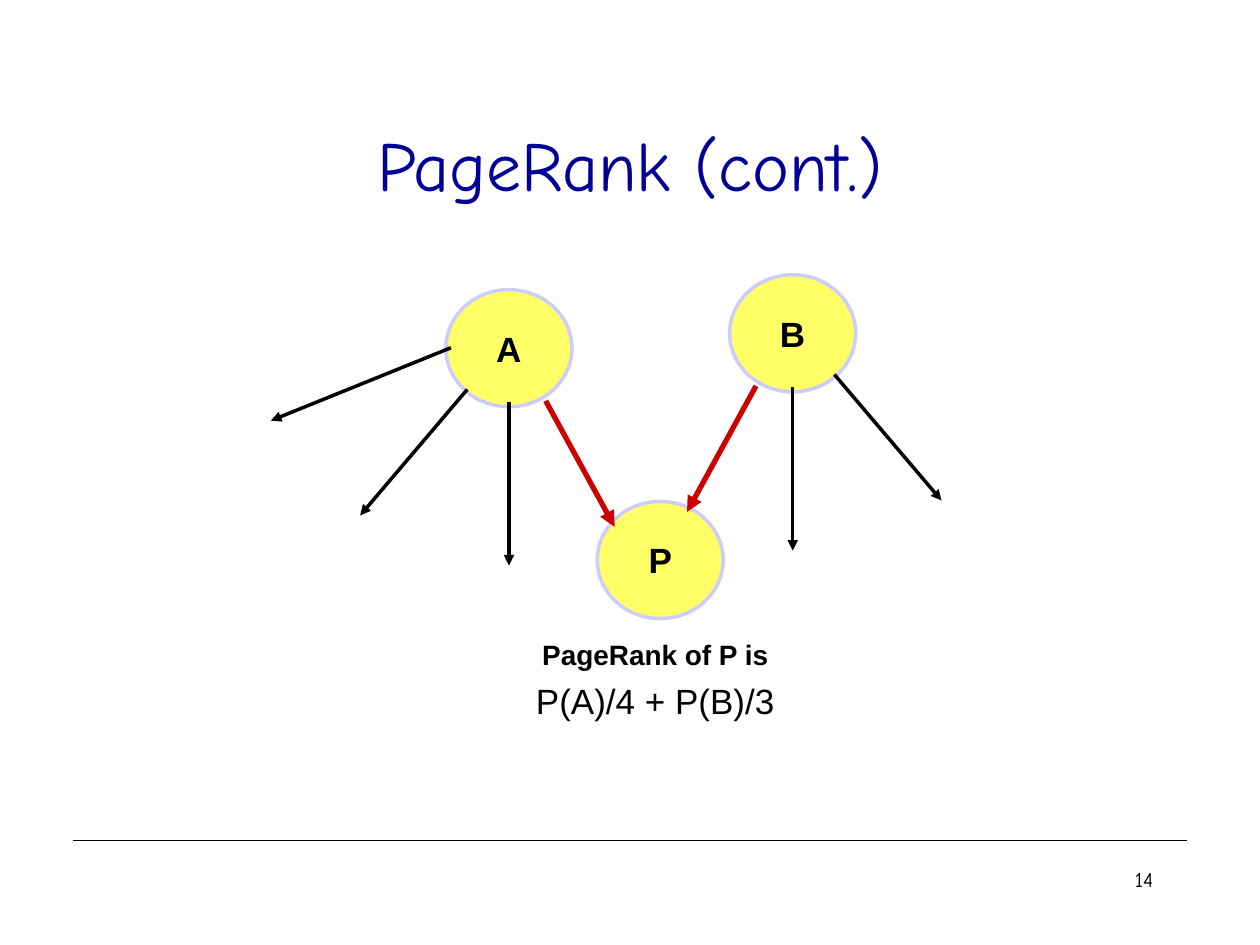
import pptx
import pptx.util
import pptx.dml.color
import pptx.enum.shapes
import pptx.enum.text
import pptx.oxml

Cm, Pt = pptx.util.Cm, pptx.util.Pt
Align = pptx.enum.text.PP_ALIGN
Anchor = pptx.enum.text.MSO_ANCHOR

COLOURS = {
    "title": "000099",
    "ink": "000000",
    "node": "FFFF66",
    "outline": "CCCCFF",
    "vote": "CC0000",
}
NODE_WIDTH, NODE_HEIGHT = 2.54, 2.36
VOTE_LINK = ((2.01, 2.24), (3.4, 4.78))
SIDE_LINK = ((0.43, 2.01), (-1.73, 4.55))
DOWN_LINK = ((1.27, 2.26), (1.27, 5.56))
FAR_LINK = ((0.1, 1.17), (-3.53, 2.64))


def colour(name):
    return pptx.dml.color.RGBColor.from_string(COLOURS[name])


def set_values(target, values):
    for name, value in values.items():
        setattr(target, name, value)


def write(para, text, size, font="Arial", ink="ink", bold=False, align=Align.CENTER, before=0):
    set_values(para, {"alignment": align, "space_before": Pt(before)})
    span = para.add_run()
    span.text = text
    set_values(span.font, {"name": font, "size": Pt(size), "bold": bold})
    span.font.color.rgb = colour(ink)


def add_text_frame(page, box, anchor=Anchor.TOP):
    frame = page.shapes.add_textbox(*(Cm(length) for length in box)).text_frame
    set_values(frame, {"word_wrap": True, "vertical_anchor": anchor})
    return frame


def add_line(page, start, end, ink="ink", width=2, arrow=True):
    line = page.shapes.add_connector(
        pptx.enum.shapes.MSO_CONNECTOR.STRAIGHT, *(Cm(length) for length in start + end))
    line.line.color.rgb = colour(ink)
    line.line.width = Pt(width)
    properties = line._element.spPr
    if arrow:
        tail = pptx.oxml.parse_xml(
            '<a:tailEnd xmlns:a="http://schemas.openxmlformats.org/drawingml/2006/main" type="triangle"/>')
        line.line._get_or_add_ln().append(tail)
    properties.append(pptx.oxml.parse_xml(
        '<a:effectLst xmlns:a="http://schemas.openxmlformats.org/drawingml/2006/main"/>'))


def add_title(page, box):
    frame = add_text_frame(page, box, Anchor.MIDDLE)
    write(frame.paragraphs[0], "PageRank (cont.)", 40, "Comic Neue", "title")


def add_formula(page, box):
    frame = add_text_frame(page, box)
    write(frame.paragraphs[0], "PageRank of P is", 16, bold=True, before=4)
    write(frame.add_paragraph(), "P(A)/4 + P(B)/3", 20, before=5)


def add_footer(page, box):
    left, top, width, height = box
    add_line(page, (left, top), (left + width, top), width=0.75, arrow=False)
    frame = add_text_frame(page, (left + width - 5.71, top + 0.41, 5.28, height - 0.41))
    write(frame.paragraphs[0], "14", 12, "Comic Neue", align=Align.RIGHT)


def add_node(page, left, top, name):
    node = page.shapes.add_shape(
        pptx.enum.shapes.MSO_SHAPE.OVAL, Cm(left), Cm(top), Cm(NODE_WIDTH), Cm(NODE_HEIGHT))
    node.shadow.inherit = False
    node.fill.solid()
    node.fill.fore_color.rgb = colour("node")
    node.line.color.rgb = colour("outline")
    node.line.width = Pt(2)
    set_values(node.text_frame, {"word_wrap": False, "vertical_anchor": Anchor.MIDDLE})
    write(node.text_frame.paragraphs[0], name, 20, bold=True)


def add_linking_page(page, left, top, name, links, mirrored=False):
    def place(point):
        across, down = point
        return left + (NODE_WIDTH - across if mirrored else across), top + down

    add_node(page, left, top, name)
    for start, end in links:
        style = {"ink": "vote", "width": 3} if (start, end) == VOTE_LINK else {}
        add_line(page, place(start), place(end), **style)


def add_graph(page, box):
    left, top, width, height = box
    add_node(page, left + 6.58, top + height - NODE_HEIGHT, "P")
    add_linking_page(page, left + 3.53, top + 0.3, "A",
                     (FAR_LINK, VOTE_LINK, SIDE_LINK, DOWN_LINK))
    add_linking_page(page, left + width - 4.27, top, "B",
                     (VOTE_LINK, SIDE_LINK, DOWN_LINK), mirrored=True)


def main():
    deck = pptx.Presentation()
    set_values(deck, {"slide_width": Cm(25.4), "slide_height": Cm(19.05)})
    page = deck.slides.add_slide(deck.slide_layouts[6])
    add_footer(page, (1.47, 16.94, 22.46, 1.68))
    add_title(page, (1.9, 1.7, 21.6, 3.18))
    add_formula(page, (2.11, 12.73, 22.2, 3.4))
    add_graph(page, (5.46, 5.54, 13.52, 6.93))
    deck.save("out.pptx")


if __name__ == "__main__":
    main()
